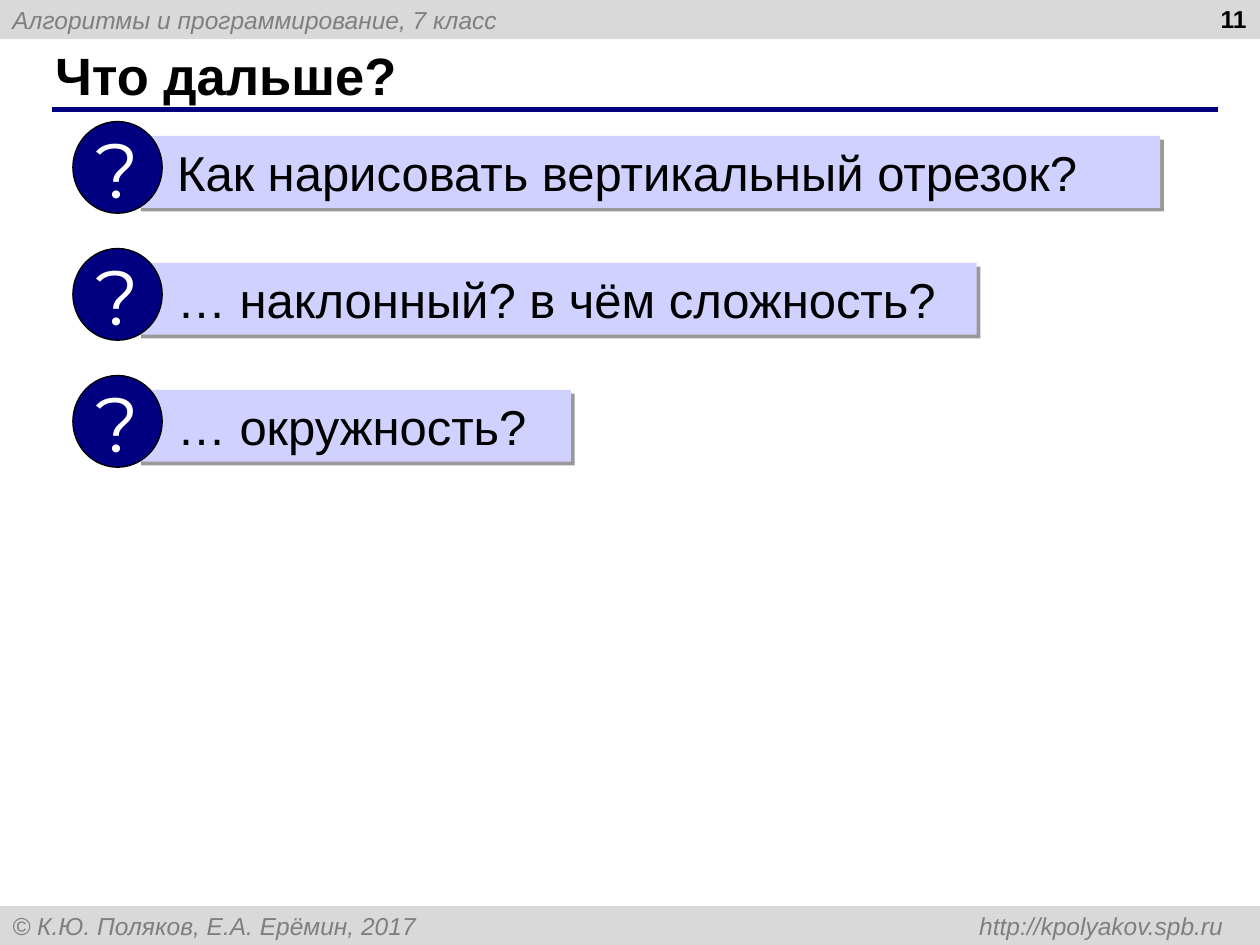
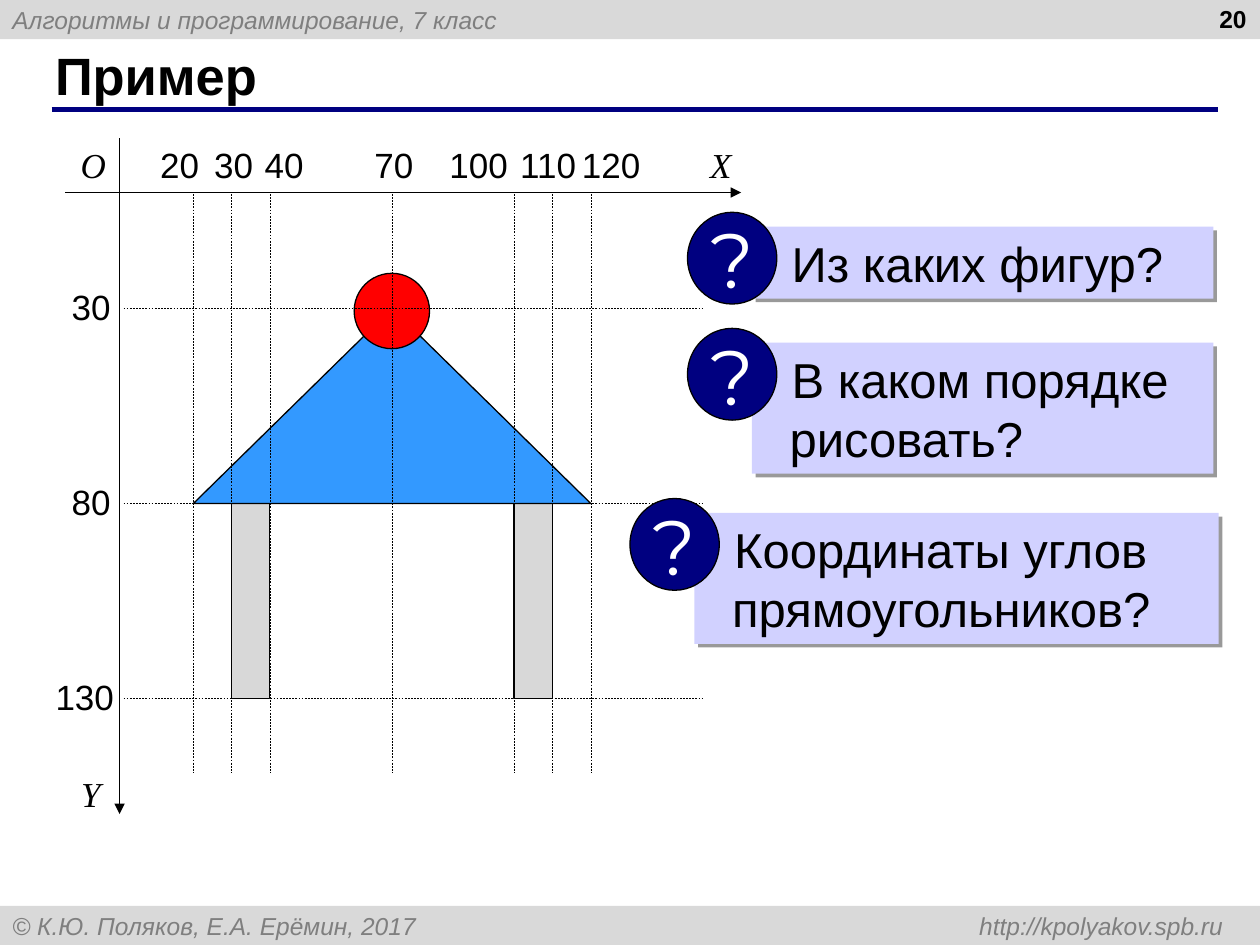
from lxml import etree
from pptx import Presentation
from pptx.dml.color import RGBColor
from pptx.enum.dml import MSO_LINE
from pptx.enum.shapes import MSO_CONNECTOR, MSO_SHAPE
from pptx.enum.text import MSO_ANCHOR, PP_ALIGN
from pptx.oxml.ns import qn
from pptx.util import Cm, Pt

RECTANGLE, OVAL, TRIANGLE = MSO_SHAPE.RECTANGLE, MSO_SHAPE.OVAL, MSO_SHAPE.ISOSCELES_TRIANGLE
STRAIGHT = MSO_CONNECTOR.STRAIGHT
DASH = MSO_LINE.DASH
TOP, MIDDLE = MSO_ANCHOR.TOP, MSO_ANCHOR.MIDDLE
LEFT, CENTER, RIGHT = PP_ALIGN.LEFT, PP_ALIGN.CENTER, PP_ALIGN.RIGHT

BLACK, WHITE, NAVY = "000000", "FFFFFF", "000080"
BAND, BAND_TEXT, LILAC = "D9D9D9", "7F7F7F", "D1D1FF"
LEG, BODY, HEAD = "D8D8D8", "3399FF", "FF0000"
SANS, SERIF, BADGE_FONT = "Arial", "Times New Roman", "Montserrat"

SLIDE_WIDTH, SLIDE_HEIGHT = 25.4, 19.05
BAND_HEIGHT = 0.79
LABEL_WIDTH, LABEL_HEIGHT = 1.32, 0.84
X_LABEL_TOP = 2.9
GRID_X = {20: 3.9, 30: 4.67, 40: 5.44, 70: 7.9, 100: 10.36, 110: 11.14, 120: 11.91}
X_LABEL_CENTERS = {20: 3.62, 30: 4.71, 40: 5.73, 70: 7.94, 100: 9.65, 110: 11.05, 120: 12.32}
GRID_Y = {value: 6.22 + 3.93 * step for step, value in enumerate((30, 80, 130))}
Y_LABEL_CENTERS = {30: 1.84, 80: 1.84, 130: 1.71}


def rgb(color):
    return RGBColor.from_string(color)


def write(shape, text, size, color=BLACK, font=SANS, align=LEFT, anchor=TOP,
          bold=False, italic=False, margins=(0.25, 0.13), wrap=True):
    frame = shape.text_frame
    frame.text = text
    frame.word_wrap = wrap
    frame.vertical_anchor = anchor
    frame.margin_left = frame.margin_right = Cm(margins[0])
    frame.margin_top = frame.margin_bottom = Cm(margins[1])
    paragraph = frame.paragraphs[0]
    paragraph.alignment = align
    for run in paragraph.runs:
        run.font.name = font
        run.font.size = Pt(size)
        run.font.bold = bold
        run.font.italic = italic
        run.font.color.rgb = rgb(color)
    return paragraph


def add_text(slide, x, y, width, height, text, size, **style):
    box = slide.shapes.add_textbox(Cm(x), Cm(y), Cm(width), Cm(height))
    write(box, text, size, **style)


def add_figure(slide, kind, x, y, width, height, fill, outline=BLACK):
    figure = slide.shapes.add_shape(kind, Cm(x), Cm(y), Cm(width), Cm(height))
    figure.shadow.inherit = False
    figure.fill.solid()
    figure.fill.fore_color.rgb = rgb(fill)
    if outline:
        figure.line.color.rgb = rgb(outline)
        figure.line.width = Pt(0.75)
    else:
        figure.line.fill.background()
    return figure


def add_line(slide, x1, y1, x2, y2, width, color=BLACK, dash=None, arrow=False):
    line = slide.shapes.add_connector(STRAIGHT, Cm(x1), Cm(y1), Cm(x2), Cm(y2))
    line.line.color.rgb = rgb(color)
    line.line.width = Pt(width)
    if dash:
        line.line.dash_style = dash
    properties = line.element.spPr
    if arrow:
        etree.SubElement(properties.find(qn("a:ln")), qn("a:tailEnd"), type="triangle")
    etree.SubElement(properties, qn("a:effectLst"))


def add_drop_shadow(shape):
    effects = shape.element.spPr.find(qn("a:effectLst"))
    shadow = etree.SubElement(effects, qn("a:outerShdw"), dist=str(Pt(3)),
                              dir="2700000", algn="ctr", rotWithShape="0")
    tint = etree.SubElement(shadow, qn("a:srgbClr"), val=BLACK)
    etree.SubElement(tint, qn("a:alpha"), val="40000")


def add_band(slide, y, text):
    band = add_figure(slide, RECTANGLE, 0, y, SLIDE_WIDTH, BAND_HEIGHT, BAND, None)
    return write(band, text, 14, BAND_TEXT, anchor=MIDDLE, italic=True)


def add_lesson_slide(deck, title, number):
    slide = deck.slides.add_slide(deck.slide_layouts[6])
    add_band(slide, 0, "Алгоритмы и программирование, 7 класс")
    footer = add_band(slide, SLIDE_HEIGHT - BAND_HEIGHT,
                      "© К.Ю. Поляков, Е.А. Ерёмин, 2017\thttp://kpolyakov.spb.ru")
    tabs = etree.SubElement(footer._p.get_or_add_pPr(), qn("a:tabLst"))
    etree.SubElement(tabs, qn("a:tab"), pos=str(Cm(24.41)), algn="r")
    add_line(slide, 1.04, 2.21, 24.56, 2.21, 3, NAVY)
    add_text(slide, 0.86, 0.84, 23.27, 1.32, title, 30, anchor=MIDDLE, bold=True)
    add_text(slide, 19.46, -0.05, 5.92, 1.32, str(number), 14, align=RIGHT, bold=True)
    return slide


def add_question(slide, x, y, width, text, height=1.45):
    panel = add_figure(slide, RECTANGLE, x, y, width, height, LILAC, None)
    add_drop_shadow(panel)
    properties = write(panel, text, 28)._p.get_or_add_pPr()
    properties.set("marL", str(Cm(0.51)))
    properties.set("indent", str(Cm(0.04)))
    badge = add_figure(slide, OVAL, x - 1.3, y - 0.29, 1.8, 1.85, NAVY)
    write(badge, "?", 44, WHITE, BADGE_FONT, CENTER, MIDDLE, wrap=False)


def add_label(slide, center, top, text, **style):
    add_text(slide, center - LABEL_WIDTH / 2, top, LABEL_WIDTH, LABEL_HEIGHT, text, 20,
             align=CENTER, margins=(0, 0), **style)


def add_grid_figure(slide, kind, x_range, y_range, fill):
    left, right = (GRID_X[value] for value in x_range)
    top, bottom = (GRID_Y[value] for value in y_range)
    add_figure(slide, kind, left, top, right - left, bottom - top, fill)


def add_drawing(slide):
    for leg_range in ((30, 40), (100, 110)):
        add_grid_figure(slide, RECTANGLE, leg_range, (80, 130), LEG)
    add_grid_figure(slide, TRIANGLE, (20, 120), (30, 80), BODY)
    radius = 0.76
    add_figure(slide, OVAL, GRID_X[70] - radius, 6.27 - radius, 2 * radius, 2 * radius, HEAD)


def add_axes(slide):
    for value, y in GRID_Y.items():
        add_line(slide, 2.49, y, 14.15, y, 0.25, dash=DASH)
        add_label(slide, Y_LABEL_CENTERS[value], y - 0.46, str(value))
    for value, x in GRID_X.items():
        add_line(slide, x, 3.91, x, 15.57, 0.25, dash=DASH)
        add_label(slide, X_LABEL_CENTERS[value], X_LABEL_TOP, str(value))
    add_line(slide, 1.32, 3.88, 14.94, 3.88, 0.5, arrow=True)
    add_line(slide, 2.41, 2.79, 2.41, 16.41, 0.5, arrow=True)
    for name, center, top in (("O", 1.88, X_LABEL_TOP), ("X", 14.53, X_LABEL_TOP),
                              ("Y", 1.83, 15.57)):
        add_label(slide, center, top, name, font=SERIF, italic=True)


def main():
    deck = Presentation()
    deck.slide_width, deck.slide_height = Cm(SLIDE_WIDTH), Cm(SLIDE_HEIGHT)

    next_steps = add_lesson_slide(deck, "Что дальше?", 11)
    questions = (("Как нарисовать вертикальный отрезок?", 20.62),
                 ("… наклонный? в чём сложность?", 16.92),
                 ("… окружность?", 8.74))
    for row, (question, width) in enumerate(questions):
        add_question(next_steps, 2.77, 2.74 + 2.56 * row, width, question)

    example = add_lesson_slide(deck, "Пример", 20)
    add_drawing(example)
    add_axes(example)
    add_question(example, 15.16, 4.57, 9.3, "Из каких фигур?")
    add_question(example, 15.16, 6.91, 9.3, "В каком порядке рисовать?", 2.64)
    add_question(example, 14, 10.34, 10.57, "Координаты углов прямоугольников?", 2.64)

    deck.save("out.pptx")


if __name__ == "__main__":
    main()
